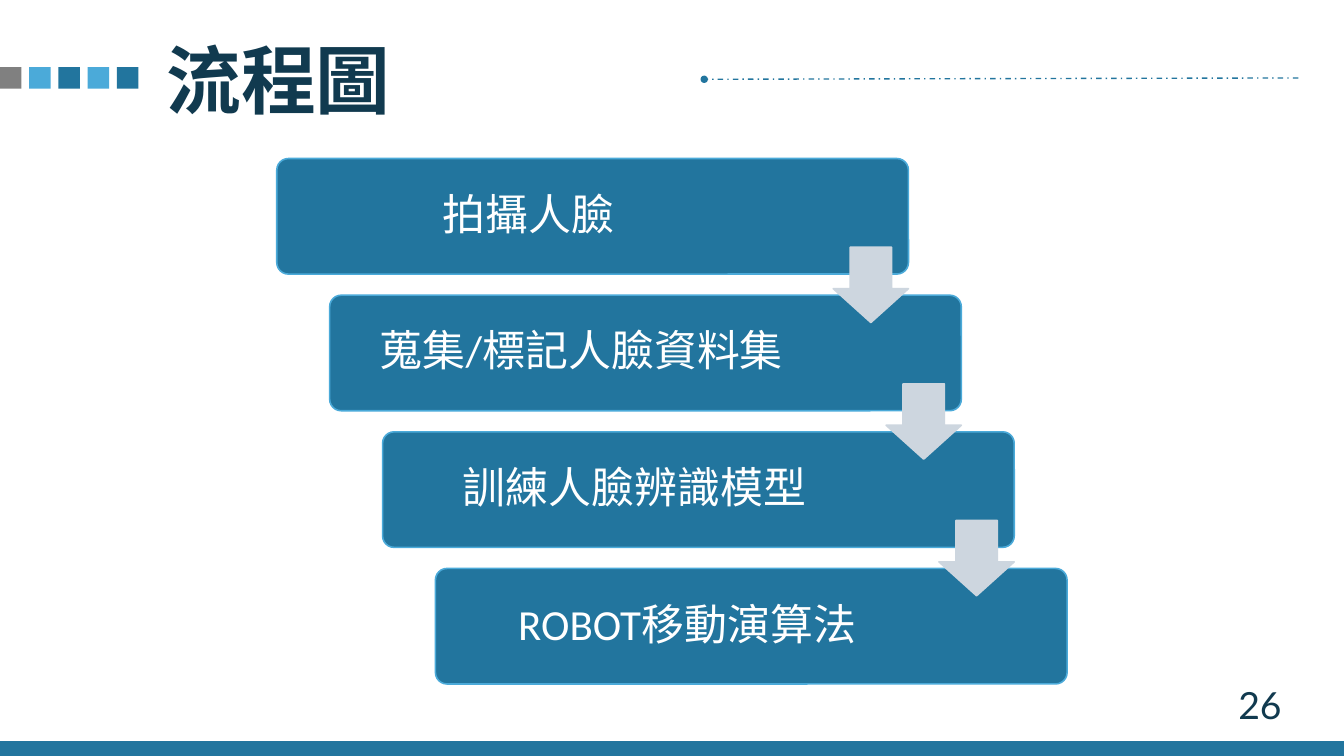
import pptx
import pptx.util
import pptx.dml.color
import pptx.enum.dml
import pptx.enum.shapes
import pptx.enum.text
import pptx.oxml.ns
from lxml import etree

SHAPE = pptx.enum.shapes.MSO_SHAPE
ALIGN = pptx.enum.text.PP_ALIGN
MIDDLE = pptx.enum.text.MSO_ANCHOR.MIDDLE
inch = pptx.util.Inches
qn = pptx.oxml.ns.qn

# 16:9 slide
W, H = 10, 10 * 9 / 16
prs = pptx.Presentation()
prs.slide_width, prs.slide_height = inch(W), inch(H)
s = prs.slides.add_slide(prs.slide_layouts[5])


def paint(fmt, color):
    fmt.solid()
    fmt.fore_color.rgb = pptx.dml.color.RGBColor.from_string(color)


def add_box(kind, x, y, w, h, fill=None, line=None):
    sp = s.shapes.add_shape(kind, inch(x), inch(y), inch(w), inch(h))
    sp.shadow.inherit = False
    for fmt, color in ((sp.fill, fill), (sp.line.fill, line)):
        if color:
            paint(fmt, color)
        else:
            fmt.background()
    if line:
        sp.line.width = pptx.util.Pt(0.85)
    return sp


# Footer band and row of small squares
add_box(SHAPE.RECTANGLE, 0, H - 0.11, W, 0.11, "22759E")
for i, color in enumerate(["808080", "4BAAD9", "22759E", "4BAAD9", "22759E"]):
    add_box(SHAPE.RECTANGLE, i * 0.87 / 4, 0.5, 0.16, 0.16, color)

# Dash-dot line with a round end
ln = s.shapes.add_connector(pptx.enum.shapes.MSO_CONNECTOR.STRAIGHT,
                            inch(9.66), inch(0.58), inch(5.24), inch(0.59))
paint(ln.line.fill, "22759E")
ln.line.width = pptx.util.Pt(0.75)
ln.line.dash_style = pptx.enum.dml.MSO_LINE.DASH_DOT
tail = etree.SubElement(ln.line._get_or_add_ln(), qn("a:tailEnd"))
for key, value in (("type", "oval"), ("w", "sm"), ("len", "sm")):
    tail.set(key, value)
etree.SubElement(ln._element.spPr, qn("a:effectLst"))

# Title
title = s.shapes.title
title.left, title.top, title.width, title.height = map(inch, (1.14, 0.2, 4.1, 0.77))
tf = title.text_frame
tf.word_wrap = True
tf.auto_size = pptx.enum.text.MSO_AUTO_SIZE.SHAPE_TO_FIT_TEXT
tf.vertical_anchor = pptx.enum.text.MSO_ANCHOR.TOP
p = tf.paragraphs[0]
p.alignment = ALIGN.JUSTIFY
r = p.add_run()
r.text = "流程圖"
r.font.size, r.font.bold, r.font.name = pptx.util.Pt(40), True, "Noto Sans CJK SC"
paint(r.font.fill, "113A4F")
etree.SubElement(r.font._element, qn("a:ea")).set("typeface", "Noto Sans CJK SC")

# Staircase of steps
x0, y0, dx, dy = 2.06, 1.18, 1.18 / 3, 3.05 / 3
steps = ["拍攝人臉", "蒐集/標記人臉資料集", "訓練人臉辨識模型", "ROBOT移動演算法"]
for i, step in enumerate(steps):
    sp = add_box(SHAPE.ROUNDED_RECTANGLE, x0 + i * dx, y0 + i * dy, 4.7, 0.86,
                 "22759E", "4BAAD9")
    sp.adjustments[0] = 0.1
    tf = sp.text_frame
    tf.word_wrap = True
    tf.vertical_anchor = MIDDLE
    tf.margin_left = tf.margin_top = tf.margin_bottom = inch(0.1)
    tf.margin_right = inch(1.05)
    p = tf.paragraphs[0]
    p.alignment, p.line_spacing = ALIGN.CENTER, 0.9
    r = p.add_run()
    r.text = step
    r.font.size, r.font.name = pptx.util.Pt(23), "Calibri"
    paint(r.font.fill, "FFFFFF")

# Arrows between the steps
for i in range(len(steps) - 1):
    sp = add_box(SHAPE.DOWN_ARROW, x0 + 4.14 + i * dx, y0 + 0.66 + i * dy, 0.56, 0.56,
                 "CDD6DF", "CDD6DF")
    sp.adjustments[0], sp.adjustments[1] = 0.55, 0.45

# Page number
sp = add_box(SHAPE.OVAL, 8.94, 4.9, 0.87, 0.69)
tf = sp.text_frame
tf.vertical_anchor = MIDDLE
p = tf.paragraphs[0]
p.alignment = ALIGN.CENTER
r = p.add_run()
r.text = "26"
r.font.size, r.font.name = pptx.util.Pt(20), "Lato"
paint(r.font.fill, "113A4F")

prs.save("out.pptx")
